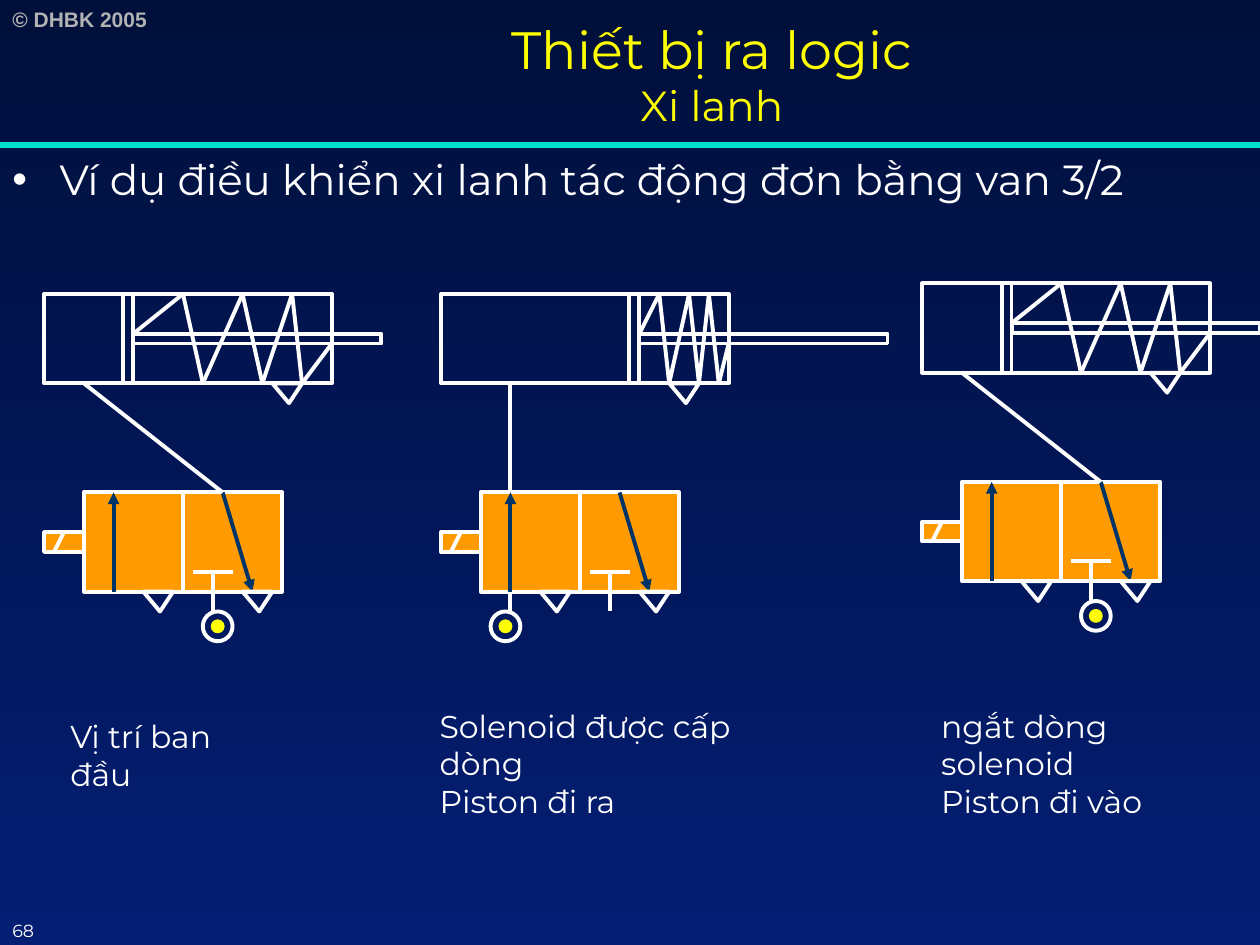
from dataclasses import dataclass
from itertools import pairwise

from lxml.etree import SubElement
from pptx import Presentation
from pptx.dml.color import RGBColor
from pptx.enum.shapes import MSO_CONNECTOR, MSO_SHAPE
from pptx.enum.text import MSO_ANCHOR, PP_ALIGN
from pptx.oxml.ns import qn
from pptx.util import Pt


@dataclass(frozen=True)
class Theme:
    top: str = "010F3B"
    bottom: str = "031E73"
    rule: str = "00DFCA"
    title: str = "FFFF00"
    text: str = "FFFFFF"
    muted: str = "B2B2B2"
    valve: str = "FF9B00"
    flow: str = "003366"
    supply: str = "FFFF00"
    title_size: int = 30
    body_size: int = 24
    caption_size: int = 18
    mark_size: int = 12
    number_size: int = 10
    font: str = "Montserrat"
    mark_font: str = "Arial"


theme = Theme()
GRID = 5.67  # one drawing unit (2 mm) in points
STROKE = 2.25

deck = Presentation()
deck.slide_width, deck.slide_height = Pt(720), Pt(540)
page = deck.slides.add_slide(deck.slide_layouts[6])

backdrop = page.background.fill
backdrop.gradient()
backdrop.gradient_angle = 270
for stop, color in zip(backdrop.gradient_stops, (theme.top, theme.bottom)):
    stop.color.rgb = RGBColor.from_string(color)


def draw_shape(kind, origin, left, top, width, height, fill=None, line=theme.text):
    """Place a shape given in grid units from an origin in points."""
    shape = page.shapes.add_shape(
        kind, Pt(origin[0] + left * GRID), Pt(origin[1] + top * GRID),
        Pt(width * GRID), Pt(height * GRID))
    shape.shadow.inherit = False
    if fill:
        shape.fill.solid()
        shape.fill.fore_color.rgb = RGBColor.from_string(fill)
    else:
        shape.fill.background()
    shape.line.color.rgb = RGBColor.from_string(line)
    shape.line.width = Pt(STROKE)
    return shape


def draw_line(origin, start, end, color=theme.text, width=STROKE, arrow=False, unit=GRID):
    """Draw a line between two points in units from an origin in points."""
    ends = [Pt(base + value * unit) for point in (start, end)
            for base, value in zip(origin, point)]
    line = page.shapes.add_connector(MSO_CONNECTOR.STRAIGHT, *ends)
    line.line.color.rgb = RGBColor.from_string(color)
    line.line.width = Pt(width)
    if arrow:
        SubElement(line.line._get_or_add_ln(), qn("a:tailEnd"), type="triangle")
    SubElement(line._element.spPr, qn("a:effectLst"))


draw_line((0, 0), (0, 82.8), (720, 82.8), theme.rule, 3, unit=1)

# Left, top, width, height, text, size, colour, font
texts = {
    "mark": (0, 0, 104.4, 21.6, "© DHBK 2005", theme.mark_size, theme.muted, theme.mark_font),
    "title": (93.6, 0, 626.4, 84.24, "Thiết bị ra logic\vXi lanh",
              theme.title_size, theme.title, theme.font),
    "body": (0, 84.24, 720, 455.76, "Ví dụ điều khiển xi lanh tác động đơn bằng van 3/2",
             theme.body_size, theme.text, theme.font),
    "start": (33.1, 406.3, 126.7, 28.8, "Vị trí ban đầu",
              theme.caption_size, theme.text, theme.font),
    "energised": (244.1, 400.3, 218.2, 50.4, "Solenoid được cấp dòng\nPiston đi ra",
                  theme.caption_size, theme.text, theme.font),
    "released": (530.7, 400.3, 178.6, 50.4, "ngắt dòng solenoid\nPiston đi vào",
                 theme.caption_size, theme.text, theme.font),
    "number": (0, 522, 48, 18, "68", theme.number_size, theme.text, theme.font),
}
for name, (left, top, width, height, words, size, color, font) in texts.items():
    box = page.shapes.add_textbox(Pt(left), Pt(top), Pt(width), Pt(height))
    frame = box.text_frame
    frame.word_wrap = True
    frame.text = words
    for para in frame.paragraphs:
        if name == "body":
            props = para._p.get_or_add_pPr()
            props.set("marL", str(Pt(27)))
            props.set("indent", str(Pt(-27)))
            SubElement(props, qn("a:buFont"), typeface=theme.mark_font)
            SubElement(props, qn("a:buChar"), char="•")
        para.font.size = Pt(size)
        para.font.name = font
        para.font.color.rgb = RGBColor.from_string(color)
        para.font.bold = name == "mark"
        if name == "title":
            frame.vertical_anchor = MSO_ANCHOR.MIDDLE
            para.alignment = PP_ALIGN.CENTER
            para.runs[1].font.size = Pt(theme.body_size)

# Origin, piston position, spring turns, feed line ends, supply position
retracted = (8, (14, 16, 20, 22, 25, 26), ((4, 9), (18, 20)), 16)
extended = (19, (22, 23, 25, 26, 27, 28), ((7, 9), (7, 20)), 5)
states = [((25.2, 168), *retracted), ((252, 168), *extended), ((527, 162), *retracted)]

for origin, piston, turns, feed, supply in states:
    # Cylinder, piston, rod and spring
    draw_shape(MSO_SHAPE.RECTANGLE, origin, 0, 0, 29, 9)
    draw_shape(MSO_SHAPE.RECTANGLE, origin, piston, 0, 1, 9)
    draw_shape(MSO_SHAPE.RECTANGLE, origin, piston + 1, 4, 25, 1)
    coil = [(x, 9 * (index % 2)) for index, x in enumerate(turns)]
    for start, end in pairwise([(piston + 1, 4), *coil, (29, 5)]):
        draw_line(origin, start, end)

    # Valve and solenoid
    for left in (4, 14):
        draw_shape(MSO_SHAPE.RECTANGLE, origin, left, 20, 10, 10, theme.valve)
    draw_shape(MSO_SHAPE.RECTANGLE, origin, 0, 24, 4, 2, theme.valve)
    draw_line(origin, (2, 24), (1, 26))
    draw_line(origin, (18, 20), (21, 30), theme.flow, arrow=True)
    draw_line(origin, (17, 28), (17, 32))
    draw_line(origin, (15, 28), (19, 28))
    draw_line(origin, (7, 30), (7, 20), theme.flow, arrow=True)
    draw_line(origin, *feed)

    # Exhaust ports
    for left, top in ((23, 9), (10, 30), (20, 30)):
        port = draw_shape(MSO_SHAPE.ISOSCELES_TRIANGLE, origin, left, top, 3, 2)
        port.rotation = 180
        port.adjustments[0] = 0.44

    # Air supply
    draw_shape(MSO_SHAPE.OVAL, origin, supply, 32, 3, 3)
    draw_shape(MSO_SHAPE.OVAL, origin, supply + 1, 33, 1, 1, theme.supply, theme.supply)
    if supply == 5:
        draw_line(origin, (7, 32), (7, 30))

deck.save("out.pptx")
